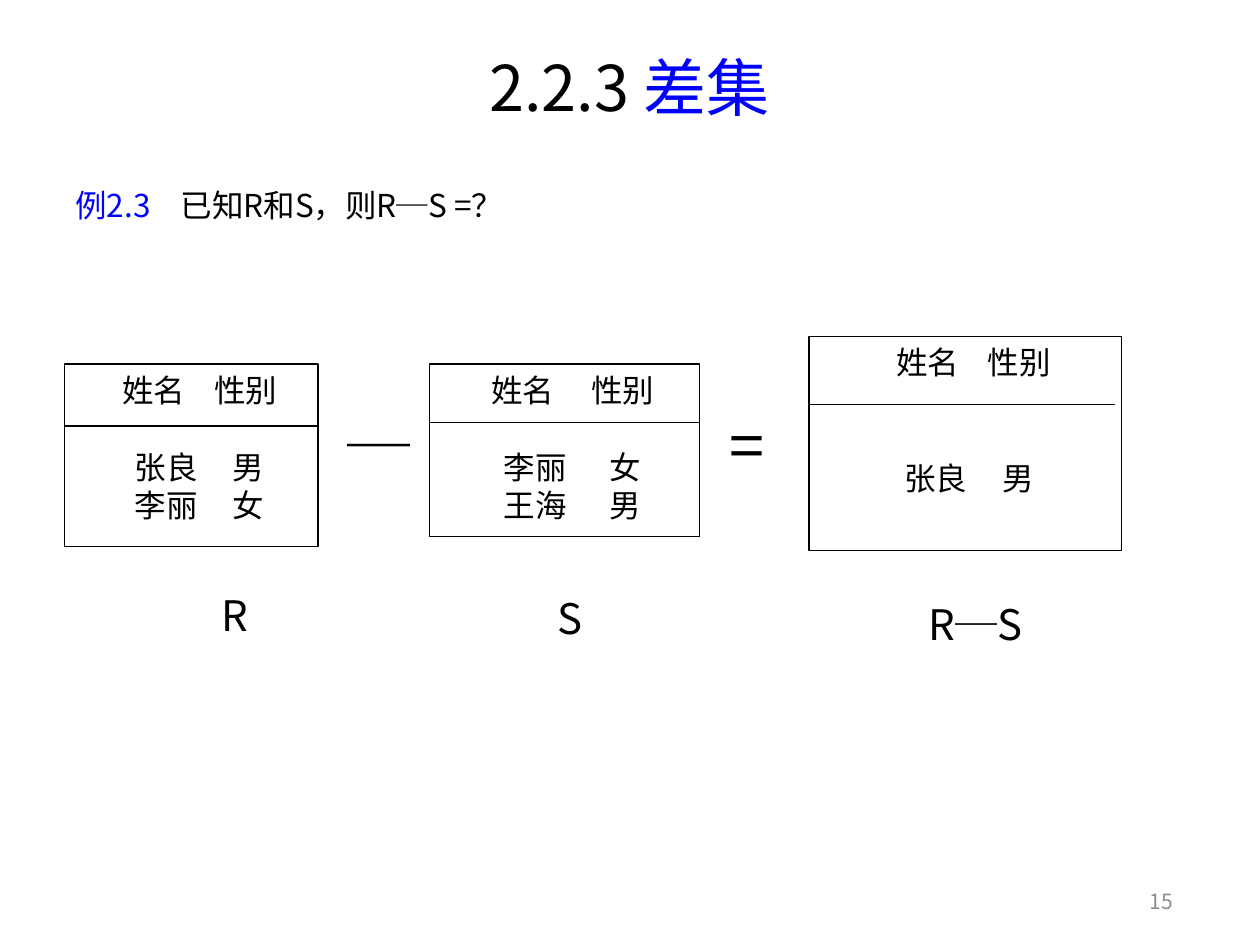
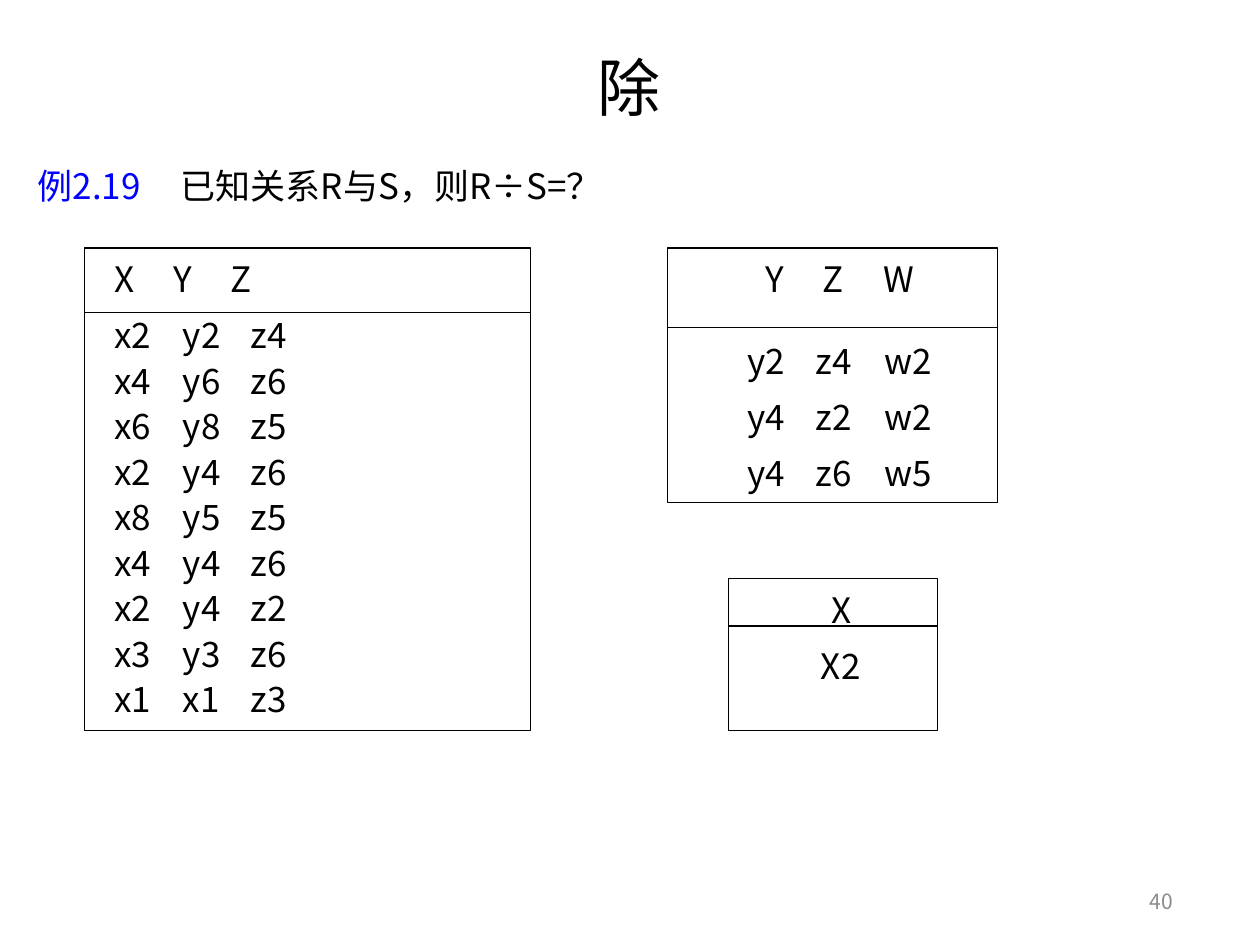
"""Build two slides on set difference and division of relations."""
from lxml.etree import SubElement
from pptx import Presentation
from pptx.dml.color import RGBColor
from pptx.enum.shapes import MSO_CONNECTOR, MSO_SHAPE
from pptx.enum.text import MSO_ANCHOR as Anchor, PP_ALIGN as Align
from pptx.oxml.ns import qn
from pptx.util import Cm, Pt

FONT = "Noto Sans CJK SC"
BLACK, BLUE, GREY, WHITE = "000000", "0000FF", "8C8C8C", "FFFFFF"
TITLE_BOX = (1.27, 0.76, 22.83, 1.96)
NUMBER_BOX = (18.21, 17.65, 5.69, 1.02)
hex_color = RGBColor.from_string


def write(paragraph, parts, size, align=Align.LEFT, tabs=(), pitch=None, before=0):
    """Fill a paragraph with (text, colour) parts."""
    properties = paragraph._p.get_or_add_pPr()
    if tabs:
        stops = SubElement(properties, qn("a:tabLst"))
        for stop in tabs:
            SubElement(stops, qn("a:tab"), pos=str(Cm(stop)), algn="l")
    paragraph.alignment = align
    paragraph.space_before = Pt(before)
    if pitch:
        paragraph.line_spacing = Pt(pitch)
    paragraph.font.name = FONT
    paragraph.font.size = Pt(size)
    SubElement(properties.find(qn("a:defRPr")), qn("a:ea"), typeface=FONT)
    for text, color in parts:
        run = paragraph.add_run()
        run.text = text
        run.font.color.rgb = hex_color(color)


def add_text(slide, box, parts, size, anchor=Anchor.TOP, inset=0.25, **style):
    """Place one line of text."""
    frame = slide.shapes.add_textbox(*map(Cm, box)).text_frame
    frame.word_wrap = True
    frame.vertical_anchor = anchor
    frame.margin_left = Cm(inset)
    write(frame.paragraphs[0], parts, size, **style)


lessons = [
    {
        "title": [("2.2.3 ", BLACK), ("差集", BLUE)],
        "example": [("例2.3\t", BLUE), ("已知R和S，则R─S =？", BLACK)],
        "example_box": (1.27, 3.12, 22.86, 1.8),
        "example_tab": 2.12,
        "size": 18,
        "pitch": 22,
        "labels": [
            ("=", 36, (14.1, 8.08, 2.18, 1.75)),
            ("─", 36, (6.4, 8.08, 2.01, 1.75)),
            ("R", 24, (3.86, 11.76, 1.83, 1.14)),
            ("S", 24, (10.62, 11.81, 2.08, 1.5)),
            ("R─S", 24, (18.11, 11.94, 3.4, 1.4)),
        ],
        "relations": [
            ((1.3, 7.34, 5.11, 3.68), 8.59, 5.13, (0.92, 2.77), (1.17, 3.14), 22, 0,
             ["姓名 性别", "张良 男", "李丽 女"]),
            ((16.31, 6.78, 6.3, 4.32), 8.15, 6.17, (1.51, 3.35), (1.67, 3.65), 44, 0,
             ["姓名 性别", "张良 男"]),
            ((8.66, 7.34, 5.44, 3.48), 8.51, 5.44, (0.99, 3.01), (1.25, 3.37), 22, 0,
             ["姓名 性别", "李丽 女", "王海 男"]),
        ],
        "number": "15",
    },
    {
        "title": [("除", BLACK)],
        "example": [("例2.19\t", BLUE), ("已知关系R与S，则R÷S=？", BLACK)],
        "example_box": (0.51, 2.77, 24.41, 1.55),
        "example_tab": 2.88,
        "size": 20,
        "pitch": 26,
        "labels": [],
        "relations": [
            ((1.7, 5, 8.99, 9.73), 6.3, 8.99, (0.36, 1.55, 2.7), (0.36, 1.74, 3.1), 6, 0,
             ["X Y Z", "x2 y2 z4", "x4 y6 z6", "x6 y8 z5", "x2 y4 z6", "x8 y5 z5",
              "x4 y4 z6", "x2 y4 z2", "x3 y3 z6", "x1 x1 z3"]),
            ((13.46, 5, 6.65, 5.13), 6.6, 6.65, (1.72, 2.88, 4.1), (1.36, 2.73, 4.12), 21, 6,
             ["Y Z W", "y2 z4 w2", "y4 z2 w2", "y4 z6 w5"]),
            ((14.68, 11.66, 4.22, 3.07), 12.62, 4.22, (1.83,), (1.62,), 6, 0,
             ["X", "X2"]),
        ],
        "number": "40",
    },
]

deck = Presentation()
deck.slide_width, deck.slide_height = Cm(25.4), Cm(19.05)

for lesson in lessons:
    slide = deck.slides.add_slide(deck.slide_layouts[6])
    add_text(slide, TITLE_BOX, lesson["title"], 36, Anchor.MIDDLE, align=Align.CENTER)
    add_text(slide, lesson["example_box"], lesson["example"], lesson["size"],
             tabs=[lesson["example_tab"]], pitch=36)
    for label, size, box in lesson["labels"]:
        add_text(slide, box, [(label, BLACK)], size, inset=0.61)

    for box, rule_y, rule_width, head_tabs, row_tabs, first_gap, row_gap, rows in lesson["relations"]:
        relation = slide.shapes.add_shape(MSO_SHAPE.RECTANGLE, *map(Cm, box))
        relation.shadow.inherit = False
        relation.fill.solid()
        relation.fill.fore_color.rgb = hex_color(WHITE)
        frame = relation.text_frame
        frame.word_wrap = True
        frame.vertical_anchor = Anchor.TOP
        for index, row in enumerate(rows):
            paragraph = frame.add_paragraph() if index else frame.paragraphs[0]
            cells = "".join(f"\t{cell}" for cell in row.split())
            write(paragraph, [(cells, BLACK)], lesson["size"],
                  tabs=row_tabs if index else head_tabs, pitch=lesson["pitch"],
                  before=(0, first_gap, row_gap)[min(index, 2)])

        left = box[0]
        rule = slide.shapes.add_connector(
            MSO_CONNECTOR.STRAIGHT, Cm(left), Cm(rule_y), Cm(left + rule_width), Cm(rule_y))
        SubElement(rule._element.spPr, qn("a:effectLst"))
        for outline in (relation.line, rule.line):
            outline.color.rgb = hex_color(BLACK)
            outline.width = Pt(0.75)

    add_text(slide, NUMBER_BOX, [(lesson["number"], GREY)], 12, Anchor.MIDDLE, align=Align.RIGHT)

deck.save("out.pptx")
